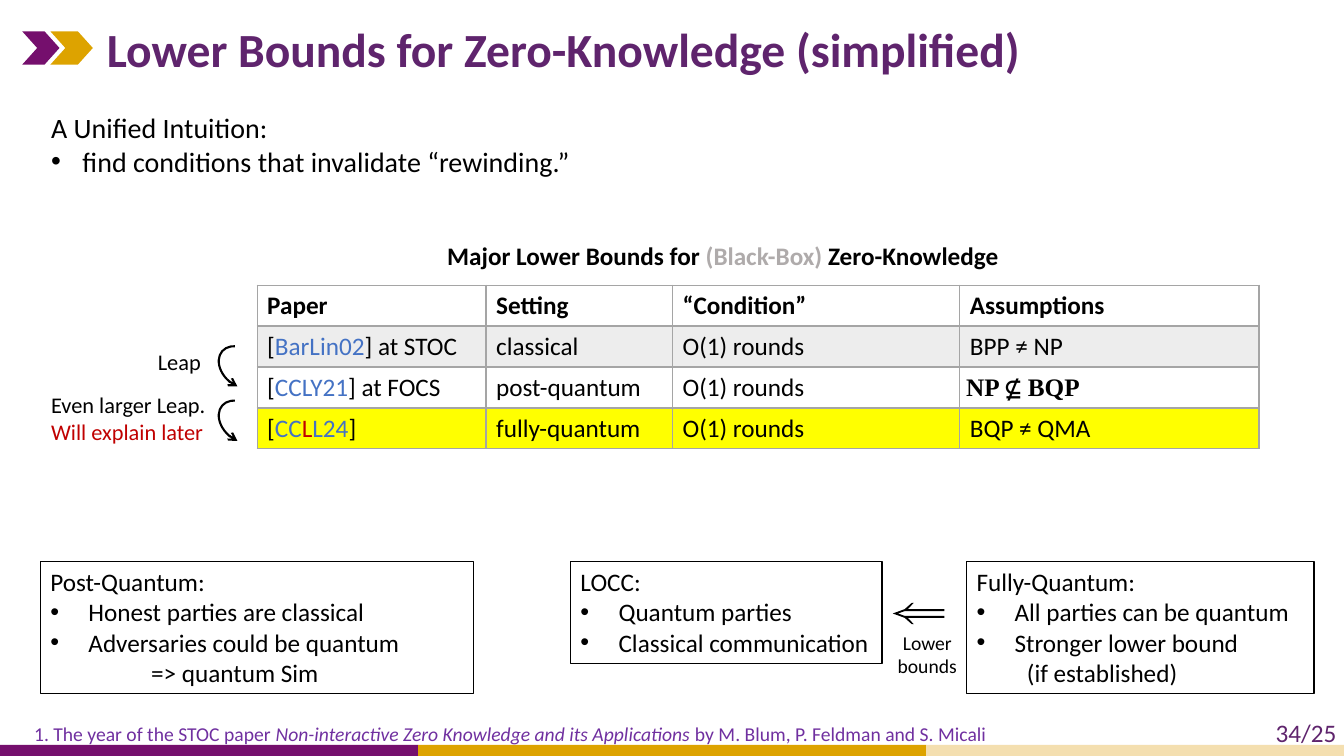
from lxml import etree
from pptx import Presentation
from pptx import util as u
from pptx.dml.color import RGBColor
from pptx.enum import shapes, text
from pptx.oxml import ns

Cm, Pt = u.Cm, u.Pt
PURPLE, GOLD, INK = "750F6D", "DDA300", "5F246D"
BLUE, RED, GREY = "4472C4", "C00000", "A5A5A5"


def rgb(value):
    return RGBColor.from_string(value)


def write(frame, *lines, size=18, color="000000", bold=False, align="LEFT",
          bulleted=(), hang=0.96, indented={}):
    frame.word_wrap = True
    for number, line in enumerate(lines):
        paragraph = frame.paragraphs[0] if number == 0 else frame.add_paragraph()
        paragraph.alignment = text.PP_ALIGN[align]
        properties = paragraph._p.get_or_add_pPr()
        if number in bulleted:
            properties.set("marL", str(Cm(hang)))
            properties.set("indent", str(-Cm(hang)))
            etree.SubElement(properties, ns.qn("a:buFont")).set("typeface", "Arial")
            etree.SubElement(properties, ns.qn("a:buChar")).set("char", "•")
        elif number in indented:
            properties.set("marL", str(Cm(indented[number])))
        for words, style in [(line, {})] if isinstance(line, str) else line:
            run = paragraph.add_run()
            run.text = words
            run.font.name = style.get("font", "Calibri")
            run.font.size = Pt(style.get("size", size))
            run.font.bold = style.get("bold", bold)
            run.font.italic = style.get("italic", False)
            run.font.color.rgb = rgb(style.get("color", color))


deck = Presentation()
deck.slide_width, deck.slide_height = Cm(33.87), Cm(19.05)
slide = deck.slides.add_slide(deck.slide_layouts[5])
kinds = shapes.MSO_SHAPE

decorations = [
    (kinds.RECTANGLE, 0, 18.77, 10.54, 0.28, PURPLE),
    (kinds.RECTANGLE, 10.54, 18.77, 12.8, 0.28, GOLD),
    (kinds.RECTANGLE, 23.34, 18.77, 10.53, 0.28, "F4DFB0"),
    (kinds.CHEVRON, 0.56, 0.79, 0.94, 0.84, PURPLE),
    (kinds.CHEVRON, 1.27, 0.79, 1.07, 0.84, GOLD),
]
for kind, left, top, width, height, color in decorations:
    decoration = slide.shapes.add_shape(kind, Cm(left), Cm(top), Cm(width), Cm(height))
    decoration.shadow.inherit = False
    decoration.fill.solid()
    decoration.fill.fore_color.rgb = rgb(color)
    decoration.line.fill.background()
    if kind == kinds.CHEVRON:
        decoration.adjustments[0] = 0.45

title = slide.shapes.title
title.left, title.top, title.width, title.height = Cm(2.44), Cm(0.3), Cm(28.47), Cm(1.85)
title.text_frame.auto_size = text.MSO_AUTO_SIZE.NONE
title.text_frame.vertical_anchor = text.MSO_ANCHOR.MIDDLE
write(title.text_frame, "Lower Bounds for Zero-Knowledge (simplified)",
      size=34, color=INK, bold=True)

page_number = slide.shapes.add_textbox(Cm(31.9), Cm(17.96), Cm(1.97), Cm(1.02))
page_number.text_frame.margin_right = 0
write(page_number.text_frame, "34/25", color=INK)

passages = [
    (1.04, 2.67, 23.65, 1.96,
     ["A Unified Intuition:", "find conditions that invalidate “rewinding.”"],
     dict(size=20, bulleted=[1], hang=0.79)),
    (11.02, 5.94, 16.64, 1.02,
     [[("Major Lower Bounds for ", {}), ("(Black-Box) ", {"color": "AFABAB"}),
       ("Zero-Knowledge", {})]], dict(bold=True)),
    (0.61, 18.06, 30.61, 0.86,
     [[("1. The year of the STOC paper ", {}),
       ("Non-interactive Zero Knowledge and its Applications", {"italic": True}),
       (" by M. Blum, P. Feldman and S. Micali", {})]],
     dict(size=14, color="7030A0")),
    (3.73, 8.64, 1.8, 0.94, ["Leap"], dict(size=16)),
    (1.04, 9.73, 4.52, 1.63,
     ["Even larger Leap.", [("Will explain later", {"color": RED})]], dict(size=16)),
    (22.2, 15.77, 2.34, 1.45, ["Lower bounds"], dict(size=14, align="CENTER")),
]
for left, top, width, height, lines, style in passages:
    passage = slide.shapes.add_textbox(Cm(left), Cm(top), Cm(width), Cm(height))
    write(passage.text_frame, *lines, **style)

cited = {"color": BLUE}
formula = {"font": "Times New Roman", "size": 18, "bold": True}
results = [
    ["Paper", "Setting", "“Condition”", "Assumptions"],
    [[("[", {}), ("BarLin02", cited), ("] at STOC", {})],
     "classical", "O(1) rounds", "BPP ≠ NP"],
    [[("[", {}), ("CCLY21", cited), ("] at FOCS", {})],
     "post-quantum", "O(1) rounds", [("NP ⊈ BQP", formula)]],
    [[("[", {}), ("CC", cited), ("L", {"color": RED}), ("L24", cited), ("]", {})],
     "fully-quantum", "O(1) rounds", "BQP ≠ QMA"],
]
row_fills = [None, "EDEDED", None, "FFFF00"]
bounds = slide.shapes.add_table(4, 4, Cm(6.48), Cm(7.19), Cm(25.25), Cm(4.12)).table
bounds.first_row = bounds.horz_banding = False
for column, width in zip(bounds.columns, [5.77, 4.7, 7.24, 7.54]):
    column.width = Cm(width)
for r, (result, row_fill) in enumerate(zip(results, row_fills)):
    bounds.rows[r].height = Cm(1.03)
    for c, entry in enumerate(result):
        cell = bounds.cell(r, c)
        write(cell.text_frame, entry, bold=r == 0)
        if row_fill:
            cell.fill.solid()
            cell.fill.fore_color.rgb = rgb(row_fill)
        else:
            cell.fill.background()
        for place, side in enumerate(["lnL", "lnR", "lnT", "lnB"]):
            heavy = (r, side) in [(0, "lnB"), (1, "lnT")]
            border = etree.Element(ns.qn("a:" + side), w=str(Pt(2 if heavy else 1)))
            paint = etree.SubElement(border, ns.qn("a:solidFill"))
            etree.SubElement(paint, ns.qn("a:srgbClr")).set("val", GREY)
            cell._tc.get_or_add_tcPr().insert(place, border)
bounds.cell(2, 3).margin_left = Cm(0.16)
bounds.cell(2, 3).vertical_anchor = text.MSO_ANCHOR.MIDDLE

for top in [8.64, 10.01]:
    leap = slide.shapes.add_shape(kinds.ARC, Cm(5.61), Cm(top), Cm(0.91), Cm(1.24))
    leap.shadow.inherit = False
    leap.adjustments[0], leap.adjustments[1] = 142.15, 19.15
    leap.rotation = 311.7
    leap._element.spPr.find(ns.qn("a:xfrm")).set("flipH", "1")
    leap.fill.background()
    leap.line.color.rgb = rgb("000000")
    leap.line.width = Pt(1.5)
    outline = leap._element.spPr.find(ns.qn("a:ln"))
    etree.SubElement(outline, ns.qn("a:tailEnd")).set("type", "arrow")

models = [
    (1.02, 10.92, 3.33,
     ["Post-Quantum:", "Honest parties are classical",
      "Adversaries could be quantum", "=> quantum Sim"], {3: 2.54}),
    (24.36, 8.76, 3.33,
     ["Fully-Quantum:", "All parties can be quantum",
      "Stronger lower bound", "(if established)"], {3: 1.27}),
    (14.38, 7.85, 2.57,
     ["LOCC:", "Quantum parties", "Classical communication"], {}),
]
for left, width, height, lines, indented in models:
    model = slide.shapes.add_shape(kinds.RECTANGLE, Cm(left), Cm(14.15), Cm(width), Cm(height))
    model.shadow.inherit = False
    model.fill.solid()
    model.fill.fore_color.rgb = rgb("FFFFFF")
    model.line.color.rgb = rgb("000000")
    model.line.width = Pt(1)
    model.text_frame.vertical_anchor = text.MSO_ANCHOR.TOP
    write(model.text_frame, *lines, bulleted=[1, 2], indented=indented)

upper = [(0, 0), (0.3, -0.11), (0.48, -0.27), (0.53, -0.27), (0.38, -0.11),
         (1.3, -0.11), (1.3, -0.06), (0.3, -0.06), (0.13, 0)]
lower = [(x, -y) for x, y in reversed(upper[1:-1])]
corners = [(Cm(22.5 + x), Cm(15.46 + y)) for x, y in upper + lower]
pen = slide.shapes.build_freeform(*corners[0])
pen.add_line_segments(corners[1:], close=True)
implication = pen.convert_to_shape()
implication.shadow.inherit = False
implication.fill.solid()
implication.fill.fore_color.rgb = rgb("000000")
implication.line.fill.background()

deck.save("out.pptx")
